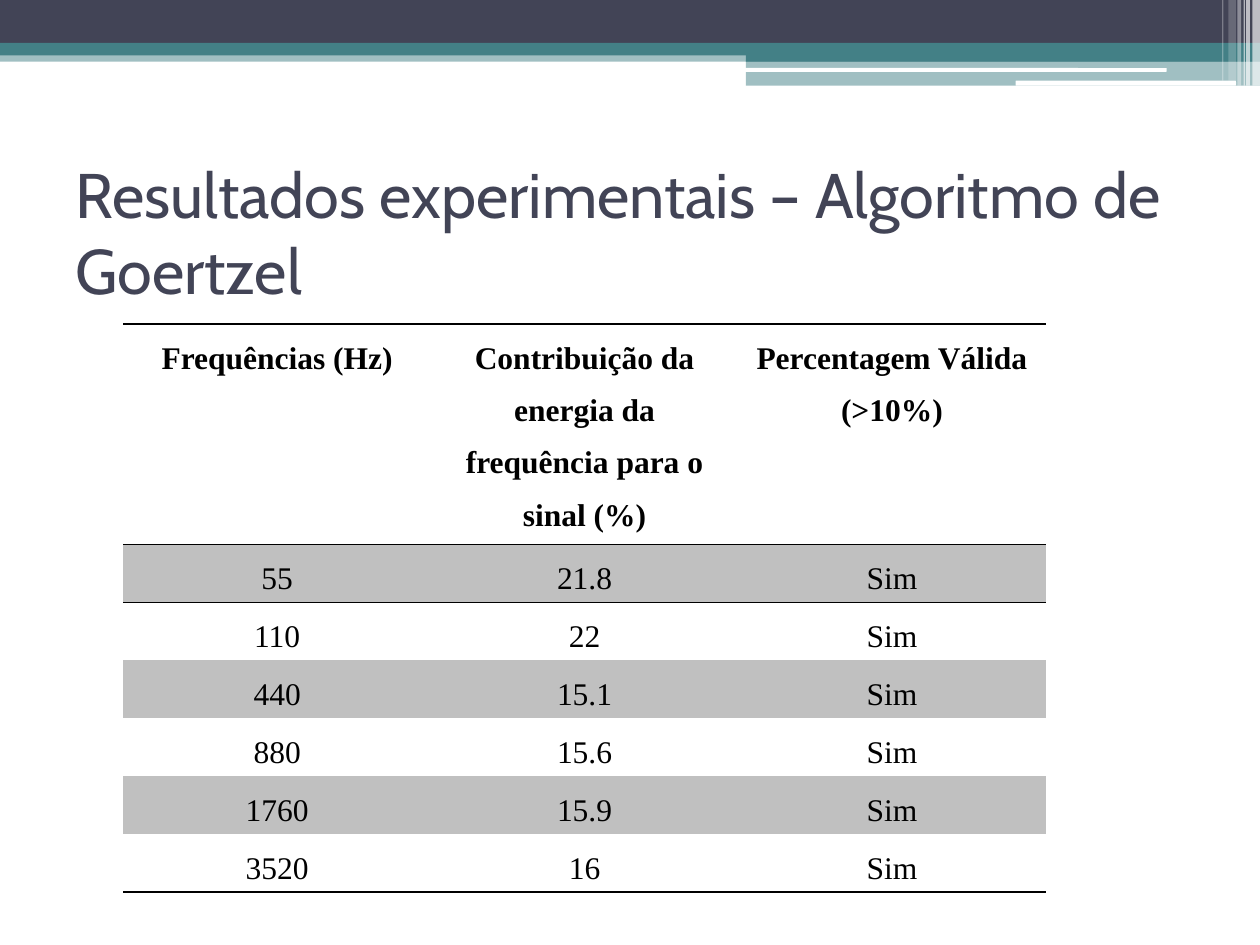
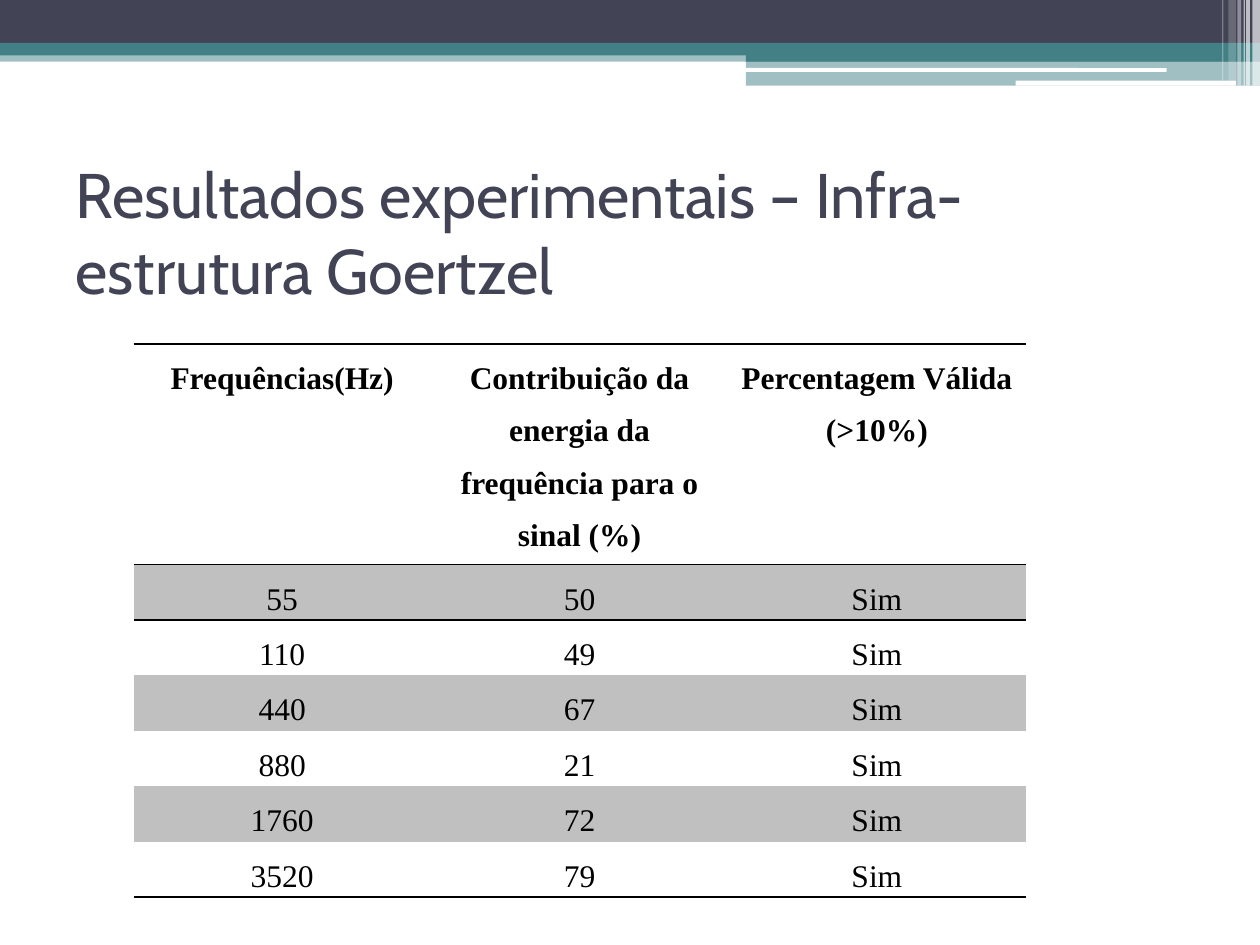
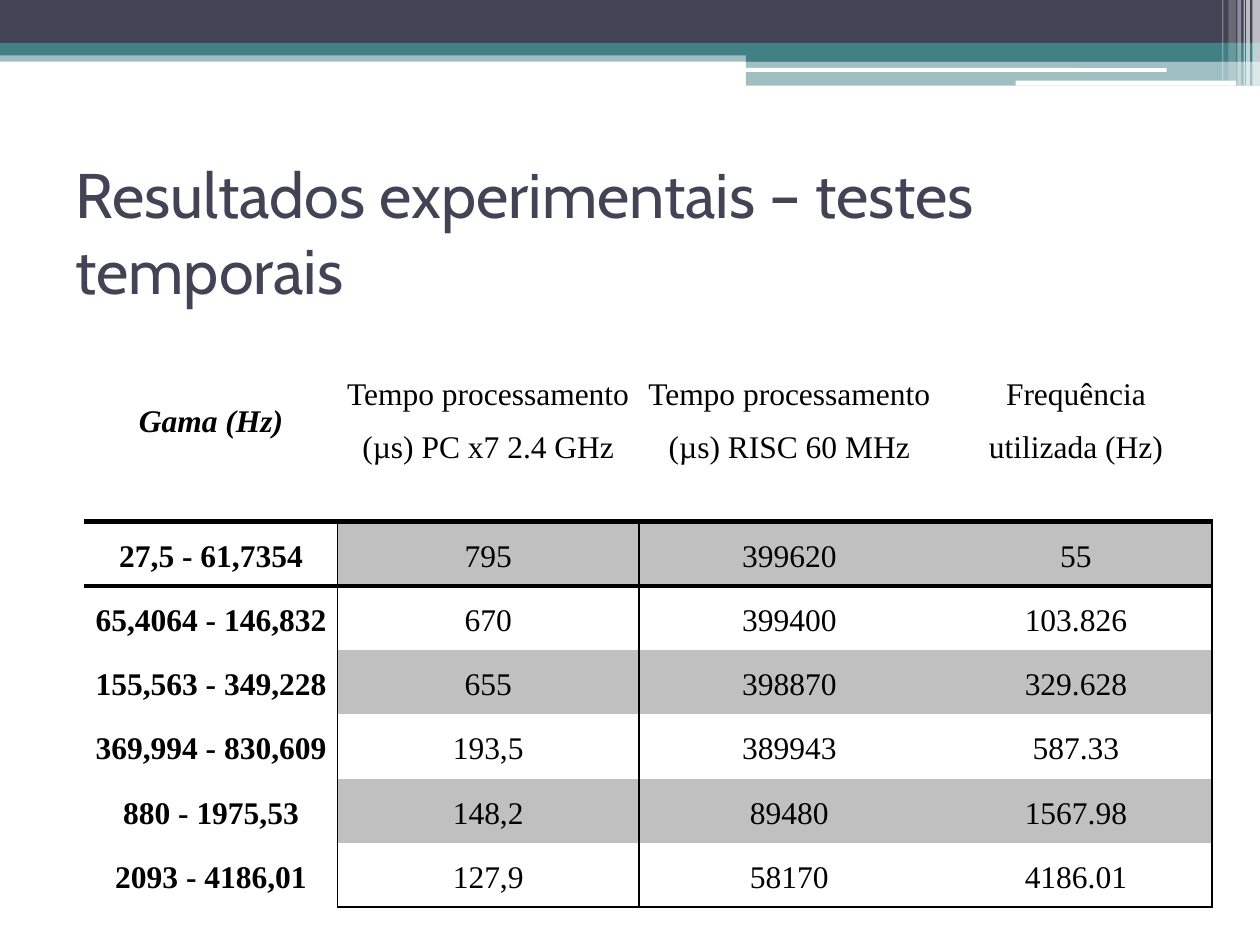
from pptx import Presentation
from pptx.dml.color import RGBColor
from pptx.enum import shapes, text
from pptx.oxml import ns
from pptx.util import Inches, Pt
from lxml import etree

# Shared look
NAVY, TEAL, WHITE, BLACK, GREY = "424456", "438086", "FFFFFF", "000000", "C0C0C0"
TITLE_FONT, TABLE_FONT = "Cabin", "Times New Roman"
TITLE_BOX = (0.5, 1.25, 9, 1.17)
NO_STYLE = "{2D5ABB26-0587-4C30-8999-92F81FD0307C}"

# Header decoration: left, top, width, height, colour, opacity in percent
BANDS = [
    (0, 0.4, 10, 0.09, TEAL, 50),
    (0, 0, 10, 0.34, NAVY, 100),
    (0, 0.34, 10, 0.1, TEAL, 100),
    (5.92, 0.39, 4.08, 0.1, TEAL, 100),
    (5.92, 0.48, 4.08, 0.2, TEAL, 50),
]
ROUNDED_BANDS = [
    (5.91, 0.54, 3.35, 0.03, WHITE, 100),
    (8.06, 0.64, 1.75, 0.04, WHITE, 100),
]
# Vertical stripes: left, width, height, opacity
STRIPES = [
    (9.94, 0.06, 0.68, 65),
    (9.89, 0.03, 0.68, 65),
    (9.87, 0.01, 0.68, 60),
    (9.82, 0.03, 0.68, 40),
    (9.75, 0.06, 0.64, 20),
    (9.7, 0.01, 0.64, 30),
]

# Slide content
FREQUENCIES = ["55", "110", "440", "880", "1760", "3520"]
ENERGY_HEADS = ["Contribuição da energia da frequência para o sinal (%)",
                "Percentagem Válida (>10%)"]


def energy_rows(values):
    return [(frequency, value, "Sim") for frequency, value in zip(FREQUENCIES, values)]


SLIDES = [
    dict(title="Resultados experimentais – Algoritmo de Goertzel",
         heads=["Frequências (Hz)"] + ENERGY_HEADS,
         rows=energy_rows(["21.8", "22", "15.1", "15.6", "15.9", "16"]),
         at=(0.98, 2.57), columns=[2.44] * 3, head_height=1.75, row_height=0.46,
         row_heads=False),
    dict(title="Resultados experimentais – Infra-estrutura Goertzel",
         heads=["Frequências(Hz)"] + ENERGY_HEADS,
         rows=energy_rows(["50", "49", "67", "21", "72", "79"]),
         at=(1.06, 2.73), columns=[2.36] * 3, head_height=1.75, row_height=0.44,
         row_heads=False),
    dict(title="Resultados experimentais – testes temporais",
         heads=["Gama (Hz)", "Tempo processamento (µs) PC x7 2.4 GHz",
                "Tempo processamento (µs) RISC 60 MHz", "Frequência utilizada (Hz)"],
         rows=[("27,5 - 61,7354", "795", "399620", "55"),
               ("65,4064 - 146,832", "670", "399400", "103.826"),
               ("155,563 - 349,228", "655", "398870", "329.628"),
               ("369,994 - 830,609", "193,5", "389943", "587.33"),
               ("880 - 1975,53", "148,2", "89480", "1567.98"),
               ("2093 - 4186,01", "127,9", "58170", "4186.01")],
         at=(0.67, 2.41), columns=[2.01, 2.39, 2.39, 2.16], head_height=1.73,
         row_height=0.51, row_heads=True),
]


def rgb(colour):
    return RGBColor.from_string(colour)


def write(frame, content, font, size, colour, bold=False, italic=False,
          align=text.PP_ALIGN.LEFT, spacing=None):
    paragraph = frame.paragraphs[0]
    paragraph.alignment = align
    if spacing:
        paragraph.line_spacing = spacing
    run = paragraph.add_run()
    run.text = content
    run.font.name, run.font.size = font, Pt(size)
    run.font.bold, run.font.italic = bold, italic
    run.font.color.rgb = rgb(colour)


def add_band(slide, left, top, width, height, colour, opacity, rounded=False):
    kind = shapes.MSO_SHAPE.ROUNDED_RECTANGLE if rounded else shapes.MSO_SHAPE.RECTANGLE
    shape = slide.shapes.add_shape(kind, *map(Inches, (left, top, width, height)))
    shape.shadow.inherit = False
    shape.fill.solid()
    shape.fill.fore_color.rgb = rgb(colour)
    shape.line.fill.background()
    if opacity < 100:
        fill_colour = shape.element.spPr.find(".//" + ns.qn("a:srgbClr"))
        etree.SubElement(fill_colour, ns.qn("a:alpha"), val=str(opacity * 1000))
    return shape


def decorate(layout, slide):
    """Draw the header bands and place them at the back of the layout."""
    bands = [add_band(slide, *band) for band in BANDS]
    bands += [add_band(slide, *band, rounded=True) for band in ROUNDED_BANDS]
    bands += [add_band(slide, left, 0, width, height, WHITE, opacity)
              for left, width, height, opacity in STRIPES]
    for index, band in enumerate(bands):
        band.element.nvSpPr.cNvPr.set("id", str(100 + index))
        layout.shapes.element.insert(2 + index, band.element)


def set_borders(cell, widths):
    """Add borders in schema order; widths maps a side (L, R, T, B) to points."""
    properties = cell._tc.get_or_add_tcPr()
    for index, side in enumerate(s for s in "LRTB" if s in widths):
        line = etree.Element(ns.qn("a:ln" + side), w=str(Pt(widths[side])))
        fill = etree.SubElement(line, ns.qn("a:solidFill"))
        etree.SubElement(fill, ns.qn("a:srgbClr"), val=BLACK)
        properties.insert(index, line)


def border_widths(row, column, last_row, last_column, row_heads):
    head_rule = 3 if row_heads else 1
    widths = {}
    if row == 0:
        widths["B"] = head_rule
        if not row_heads:
            widths["T"] = 1
    if row == 1:
        widths["T"] = head_rule
    if row == last_row and not (row_heads and column == 0):
        widths["B"] = 1
    if row_heads and row > 0:
        if column in (0, last_column):
            widths["R"] = 1
        if column == 1:
            widths["L"] = 1
    return widths


def add_results(slide, heads, rows, at, columns, head_height, row_height, row_heads):
    grid = [heads] + rows
    heights = [head_height] + [row_height] * len(rows)
    frame = slide.shapes.add_table(len(grid), len(columns),
                                   *map(Inches, (*at, sum(columns), sum(heights))))
    frame.element.find(".//" + ns.qn("a:tableStyleId")).text = NO_STYLE
    table = frame.table
    table.first_row = table.horz_banding = False
    for column, width in zip(table.columns, columns):
        column.width = Inches(width)
    for row, height in zip(table.rows, heights):
        row.height = Inches(height)

    for r, values in enumerate(grid):
        for c, value in enumerate(values):
            cell = table.cell(r, c)
            cell.margin_left = cell.margin_right = Inches(0.07)
            cell.margin_top = cell.margin_bottom = 0
            if row_heads and r == 0:
                cell.vertical_anchor = text.MSO_ANCHOR.MIDDLE
            if r % 2 and not (row_heads and c == 0):
                cell.fill.solid()
                cell.fill.fore_color.rgb = rgb(GREY)
            else:
                cell.fill.background()
            set_borders(cell, border_widths(r, c, len(rows), len(columns) - 1, row_heads))
            write(cell.text_frame, value, TABLE_FONT, 18, BLACK,
                  bold=c == 0 if row_heads else r == 0,
                  italic=row_heads and r == c == 0,
                  align=text.PP_ALIGN.CENTER, spacing=1.5)


def add_title(slide, content):
    title = slide.shapes.title
    title.left, title.top, title.width, title.height = map(Inches, TITLE_BOX)
    title.text_frame.vertical_anchor = text.MSO_ANCHOR.MIDDLE
    title.text_frame.auto_size = text.MSO_AUTO_SIZE.NONE
    write(title.text_frame, content, TITLE_FONT, 36, NAVY)


# Build the slides
presentation = Presentation()
presentation.slide_width, presentation.slide_height = Inches(10), Inches(7.5)
title_only = presentation.slide_layouts[5]
for number, content in enumerate(SLIDES):
    slide = presentation.slides.add_slide(title_only)
    if number == 0:
        decorate(title_only, slide)
    add_title(slide, content["title"])
    add_results(slide, **{key: value for key, value in content.items() if key != "title"})
presentation.save("out.pptx")
